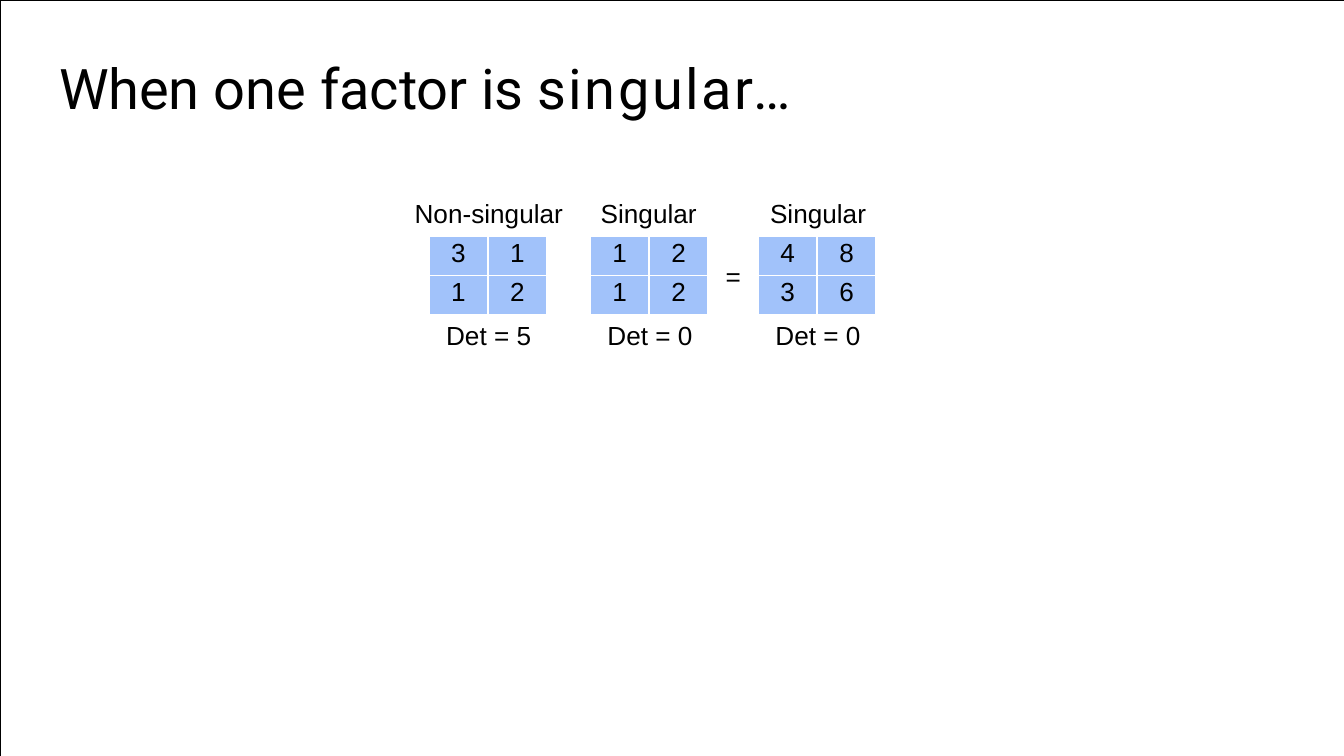
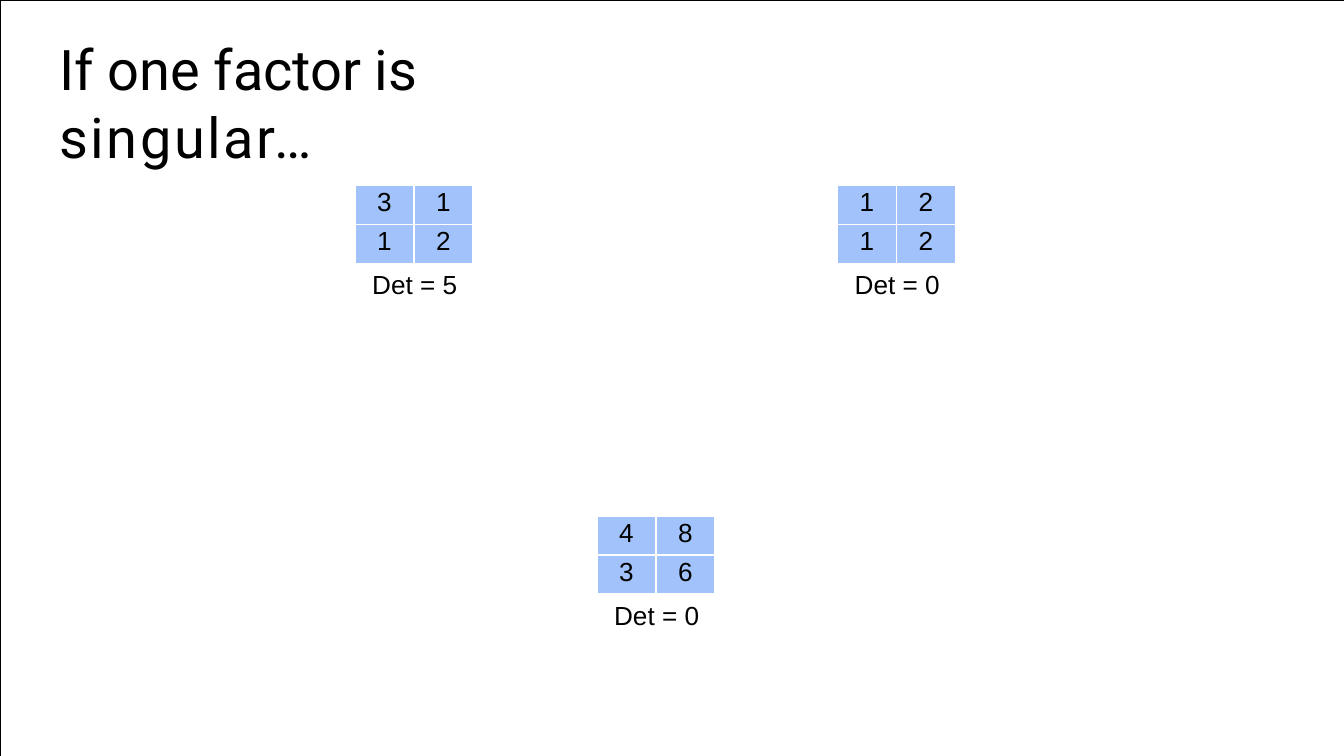
from pptx import Presentation
from pptx.dml.color import RGBColor
from pptx.enum.text import MSO_ANCHOR, MSO_AUTO_SIZE, PP_ALIGN
from pptx.oxml import parse_xml
from pptx.oxml.ns import nsdecls
from pptx.util import Inches, Pt

LEFT, CENTER = PP_ALIGN.LEFT, PP_ALIGN.CENTER
TOP = MSO_ANCHOR.TOP
GROW = MSO_AUTO_SIZE.SHAPE_TO_FIT_TEXT

BLACK = "000000"
WHITE = "FFFFFF"
CELL_BLUE = "A1C2FA"
PAGE_WIDTH = 10
PAGE_HEIGHT = PAGE_WIDTH * 9 / 16
CELL_WIDTH, CELL_HEIGHT = 0.44, 0.29
TABLE_CENTER = 0.45
LABEL_HEIGHT = 0.26

FACTOR_A = ([[3, 1], [1, 2]], "Det = 5")
FACTOR_B = ([[1, 2], [1, 2]], "Det = 0")
PRODUCT = ([[4, 8], [3, 6]], "Det = 0")

SLIDES = [
    {
        "opening": "When ",
        "title_box": (0.43, 0.39, 5.49, 0.53),
        "matrices": [(FACTOR_A, 3.19, 1.76), (FACTOR_B, 4.39, 1.76), (PRODUCT, 5.64, 1.76)],
        "labels": [
            ("=", 5.46, 1.92, 0.14),
            ("Non-singular", 3.64, 1.45, 1.13),
            ("Singular", 4.83, 1.45, 0.74),
            ("Singular", 6.09, 1.45, 0.74),
        ],
    },
    {
        "opening": "If ",
        "title_box": (0.43, 0.25, 4.62, 0.53),
        "matrices": [(FACTOR_A, 2.64, 1.38), (FACTOR_B, 6.23, 1.38), (PRODUCT, 4.44, 3.84)],
        "labels": [],
    },
]


def color(value):
    return RGBColor.from_string(value)


def add_label(page, text, center, top, width):
    box = page.shapes.add_textbox(
        Inches(center - width / 2), Inches(top), Inches(width), Inches(LABEL_HEIGHT)
    )
    frame = box.text_frame
    frame.word_wrap = True
    frame.auto_size = GROW
    frame.margin_left, frame.margin_top = Inches(0.01), Inches(0.02)
    frame.margin_right = frame.margin_bottom = 0
    frame.text = text
    font = frame.paragraphs[0].runs[0].font
    font.name, font.size, font.color.rgb = "Arial", Pt(14), color(BLACK)


deck = Presentation()
deck.slide_width, deck.slide_height = Inches(PAGE_WIDTH), Inches(PAGE_HEIGHT)
layout = deck.slide_layouts[5]
layout.background.fill.solid()
layout.background.fill.fore_color.rgb = color(WHITE)

for number, content in enumerate(SLIDES):
    page = deck.slides.add_slide(layout)

    if number == 0:
        builder = page.shapes.build_freeform(0, deck.slide_height)
        corners = [(deck.slide_width, deck.slide_height), (deck.slide_width, 0), (0, 0)]
        builder.add_line_segments(corners, close=True)
        border = builder.convert_to_shape()
        border.shadow.inherit = False
        border.fill.background()
        border.line.color.rgb = color(BLACK)
        border.line.width = Pt(0.25)
        layout.shapes.element.insert(2, border.element)

    title = page.shapes.title
    title.left, title.top, title.width, title.height = map(Inches, content["title_box"])
    frame = title.text_frame
    frame.word_wrap = True
    frame.auto_size = GROW
    frame.vertical_anchor = TOP
    frame.margin_left = frame.margin_top = Inches(0.01)
    frame.margin_right = frame.margin_bottom = 0
    para = frame.paragraphs[0]
    para.alignment = LEFT
    para.space_before = Pt(0)
    pieces = [(content["opening"], -5), ("one ", 0), ("factor is ", -5), ("singular…", 140)]
    for text, spacing in pieces:
        span = para.add_run()
        span.text = text
        span.font.name, span.font.size = "Roboto", Pt(30)
        span.font.color.rgb = color(BLACK)
        span._r.get_or_add_rPr().set("spc", str(spacing))

    for label in content["labels"]:
        add_label(page, *label)

    for (values, determinant), left, top in content["matrices"]:
        table = page.shapes.add_table(
            2, 2, Inches(left), Inches(top), Inches(2 * CELL_WIDTH), Inches(2 * CELL_HEIGHT)
        ).table
        table.first_row = False
        table.horz_banding = False
        for row, row_values in enumerate(values):
            for column, value in enumerate(row_values):
                cell = table.cell(row, column)
                cell.margin_left = cell.margin_right = cell.margin_bottom = 0
                cell.margin_top = Inches(0.02)
                for side in ("lnL", "lnR", "lnT", "lnB"):
                    cell._tc.get_or_add_tcPr().append(parse_xml(
                        f'<a:{side} {nsdecls("a")} w="12700"><a:solidFill>'
                        f'<a:srgbClr val="{WHITE}"/></a:solidFill></a:{side}>'
                    ))
                cell.fill.solid()
                cell.fill.fore_color.rgb = color(CELL_BLUE)
                cell.text_frame.text = str(value)
                para = cell.text_frame.paragraphs[0]
                para.alignment = CENTER
                font = para.runs[0].font
                font.name, font.size, font.color.rgb = "Arial", Pt(14), color(BLACK)
        add_label(page, determinant, left + TABLE_CENTER, top + 0.6, 0.66)

deck.save("out.pptx")
